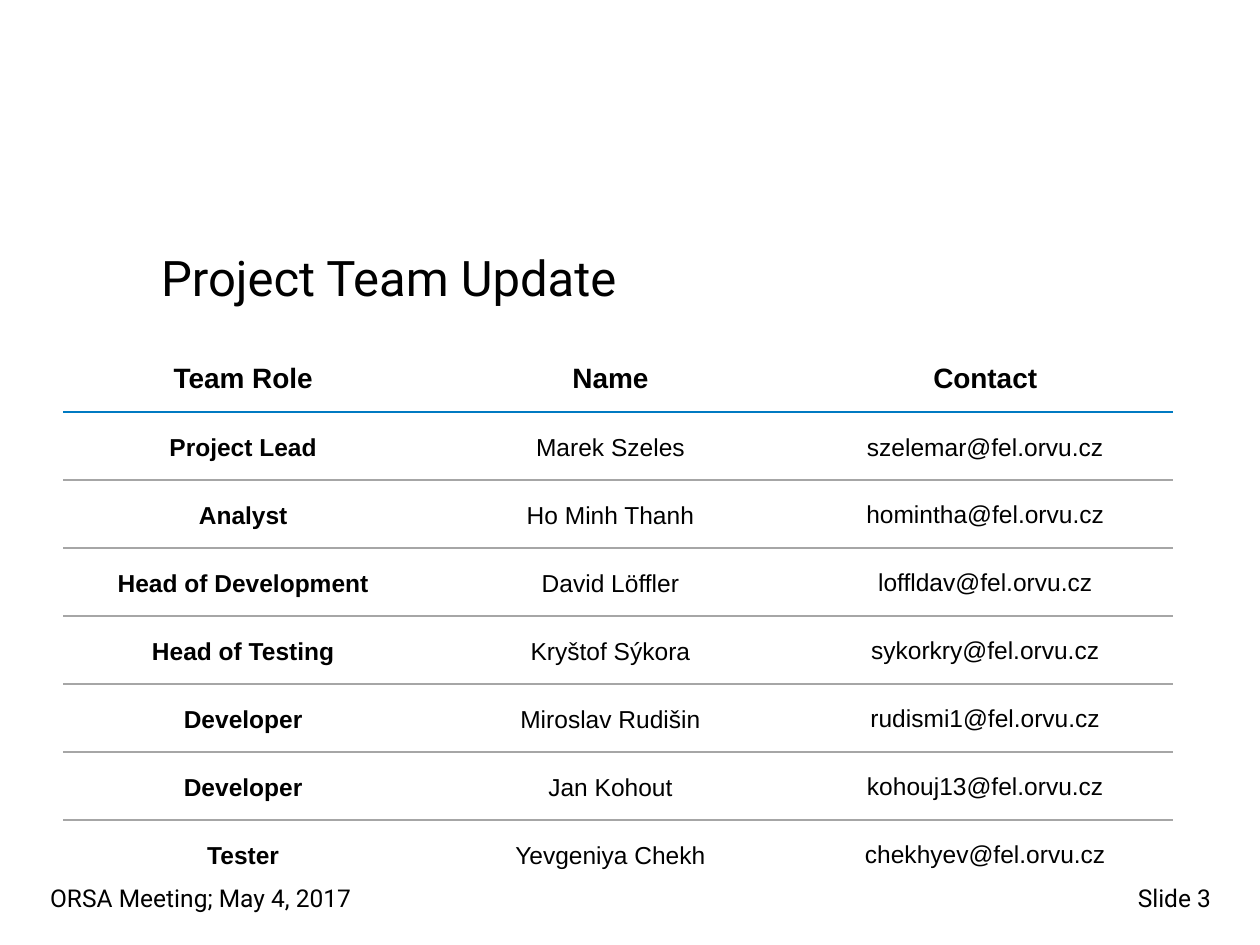
from lxml import etree
from pptx import Presentation
from pptx.dml.color import RGBColor
from pptx.enum.text import MSO_ANCHOR, PP_ALIGN
from pptx.oxml.ns import qn
from pptx.util import Inches, Pt

LEFT, MID, RIGHT = PP_ALIGN.LEFT, PP_ALIGN.CENTER, PP_ALIGN.RIGHT
CENTER = MSO_ANCHOR.MIDDLE
BLACK = RGBColor(0x00, 0x00, 0x00)
BLUE = RGBColor(0x00, 0x7A, 0xC2)
GRAY = RGBColor(0xA6, 0xA6, 0xA6)
HEAD = ("Team Role", "Name", "Contact")
TEAM = (
    ("Project Lead", "Marek Szeles", "szelemar"),
    ("Analyst", "Ho Minh Thanh", "homintha"),
    ("Head of Development", "David Löffler", "loffldav"),
    ("Head of Testing", "Kryštof Sýkora", "sykorkry"),
    ("Developer", "Miroslav Rudišin", "rudismi1"),
    ("Developer", "Jan Kohout", "kohouj13"),
    ("Tester", "Yevgeniya Chekh", "chekhyev"),
)
DOMAIN = "@fel.orvu.cz"
WIDTHS = (2.86, 2.97, 2.98)
HEAD_H, ROW_H = 0.56, 0.54


def write(frame, text, size=14, font="Arial", bold=False, align=MID, space=1.0):
    """Put one formatted paragraph into a text frame."""
    para = frame.paragraphs[0]
    para.alignment = align
    para.line_spacing = space
    run = para.add_run()
    run.text = text
    run.font.size = Pt(size)
    run.font.name = font
    run.font.bold = bold
    run.font.color.rgb = BLACK


def label(slide, box, text, **form):
    """Add a wrapped text box in the heading font."""
    frame = slide.shapes.add_textbox(*map(Inches, box)).text_frame
    frame.word_wrap = True
    write(frame, text, font="Roboto", **form)


def edge(cell, side, color=None, width=1):
    """Draw one cell border, or clear it when no color is given."""
    line = etree.SubElement(cell._tc.get_or_add_tcPr(), qn("a:" + side), w=str(Pt(width)))
    if color is None:
        etree.SubElement(line, qn("a:noFill"))
    else:
        fill = etree.SubElement(line, qn("a:solidFill"))
        etree.SubElement(fill, qn("a:srgbClr"), val=str(color))


def rule(row, last):
    """Give the color and width of the line below a row."""
    if row == 0:
        return BLUE, 1.5
    return (GRAY, 1) if 0 <= row < last else (None, 1)


def style(cell, row, last, tight):
    """Set the insets, borders and fill of a cell."""
    cell.vertical_anchor = CENTER
    side, top, base = (0.01, 0.01, 0) if tight else (0.07, 0.02, 0.02)
    cell.margin_left = cell.margin_right = Inches(side)
    cell.margin_top, cell.margin_bottom = Inches(top), Inches(base)
    edge(cell, "lnL")
    edge(cell, "lnR")
    edge(cell, "lnT", *rule(row - 1, last))
    edge(cell, "lnB", *rule(row, last))
    cell.fill.background()


def roster(slide):
    """Add the table of team members."""
    rows = [HEAD] + [(role, name, user + DOMAIN) for role, name, user in TEAM]
    last = len(rows) - 1
    size = (sum(WIDTHS), HEAD_H + last * ROW_H)
    table = slide.shapes.add_table(
        len(rows), len(HEAD), *map(Inches, (0.5, 2.71) + size)).table
    table.first_row = table.horz_banding = False
    for col, width in zip(table.columns, WIDTHS):
        col.width = Inches(width)
    for i, row in enumerate(rows):
        table.rows[i].height = Inches(ROW_H if i else HEAD_H)
        for j, text in enumerate(row):
            cell = table.cell(i, j)
            tight = i > 1 and j == 2
            write(cell.text_frame, text, size=14 if i else 16,
                  bold=i == 0 or j == 0, space=1.0 if tight else 1.15)
            style(cell, i, last, tight)


def main():
    """Build and save the slide."""
    deck = Presentation()
    deck.slide_width, deck.slide_height = Inches(10), Inches(7.5)
    slide = deck.slides.add_slide(deck.slide_layouts[6])
    label(slide, (0.3, 6.96, 4.43, 0.34), "ORSA Meeting; May 4, 2017", align=LEFT)
    label(slide, (6.97, 6.96, 2.74, 0.34), "Slide 3", align=RIGHT)
    label(slide, (1.18, 1.97, 8.52, 1.19), "Project Team Update",
          size=28, align=LEFT, space=0.9)
    roster(slide)
    deck.save("out.pptx")


if __name__ == "__main__":
    main()
